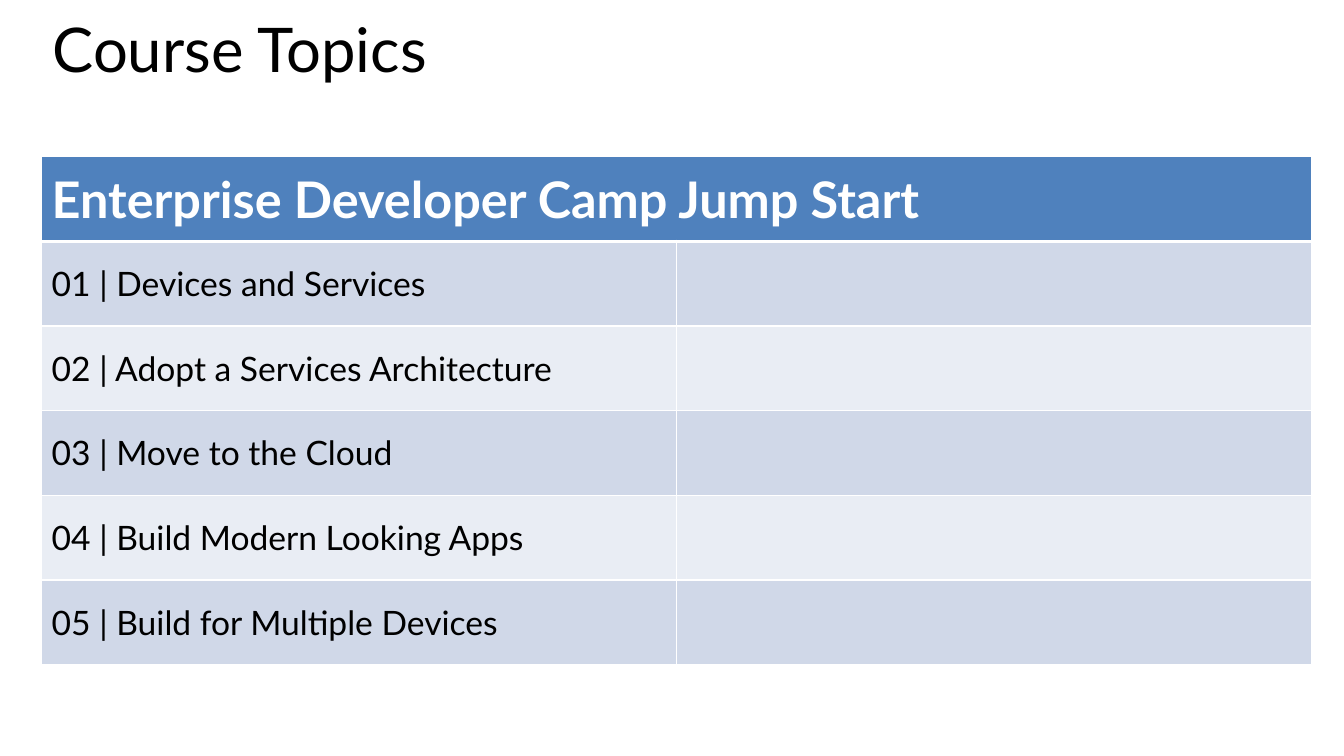
from dataclasses import dataclass

from lxml import etree
from pptx import Presentation
from pptx.dml.color import RGBColor
from pptx.enum.text import MSO_ANCHOR, MSO_AUTO_SIZE, PP_ALIGN
from pptx.oxml.ns import qn
from pptx.util import Cm, Pt

TOP, MIDDLE = MSO_ANCHOR.TOP, MSO_ANCHOR.MIDDLE
LEFT = PP_ALIGN.LEFT
NO_FIT = MSO_AUTO_SIZE.NONE

HEAD = "Enterprise Developer Camp Jump Start"
TOPICS = [
    "Devices and Services",
    "Adopt a Services Architecture",
    "Move to the Cloud",
    "Build Modern Looking Apps",
    "Build for Multiple Devices",
]


@dataclass
class Theme:
    font: str = "Lato"
    black: str = "000000"
    white: str = "FFFFFF"
    blue: str = "4F81BD"
    bands: tuple = ("D0D8E8", "E9EDF4")
    title: int = 44
    head: int = 36
    body: int = 24
    thin: int = 1
    thick: int = 3


def write(frame, text, font, size, color, bold=False, space=1.0):
    """Put one formatted paragraph into a text frame."""
    frame.text = text
    par = frame.paragraphs[0]
    par.alignment = LEFT
    par.line_spacing = space
    face = par.runs[0].font
    face.name, face.size, face.bold = font, Pt(size), bold
    face.color.rgb = RGBColor.from_string(color)


class Page:
    def __init__(self, deck, theme):
        self.theme = theme
        self.slide = deck.slides.add_slide(deck.slide_layouts[5])

    def title(self, text, left, top, width, height):
        shape = self.slide.shapes.title
        shape.left, shape.top = Cm(left), Cm(top)
        shape.width, shape.height = Cm(width), Cm(height)
        frame = shape.text_frame
        frame.word_wrap = True
        frame.auto_size = NO_FIT
        frame.vertical_anchor = TOP
        look = self.theme
        write(frame, text, look.font, look.title, look.black, space=0.8)

    def edges(self, cell, base):
        """Draw white borders; base is the width of the bottom one."""
        props = cell._tc.get_or_add_tcPr()
        thin = self.theme.thin
        sides = {"lnL": thin, "lnR": thin, "lnT": thin, "lnB": base}
        for spot, (side, width) in enumerate(sides.items()):
            line = etree.Element(qn(f"a:{side}"), w=str(Pt(width)))
            fill = etree.SubElement(line, qn("a:solidFill"))
            etree.SubElement(fill, qn("a:srgbClr"), val=self.theme.white)
            props.insert(spot, line)

    def cell(self, cell, fill, base):
        cell.fill.solid()
        cell.fill.fore_color.rgb = RGBColor.from_string(fill)
        cell.vertical_anchor = MIDDLE
        self.edges(cell, base)

    def table(self, head, topics, left, top, width, height):
        look = self.theme
        count = len(topics) + 1
        grid = self.slide.shapes.add_table(
            count, 2, Cm(left), Cm(top), Cm(width), Cm(height)).table

        # Fills and borders
        for row in range(count):
            fill = look.bands[(row - 1) % 2] if row else look.blue
            base = look.thin if row else look.thick
            for col in range(2):
                self.cell(grid.cell(row, col), fill, base)

        # Heading across both columns
        first = grid.cell(0, 0)
        first.merge(grid.cell(0, 1))
        write(first.text_frame, head, look.font, look.head, look.white, bold=True)

        # Numbered topics
        for row, topic in enumerate(topics, 1):
            write(grid.cell(row, 0).text_frame, f"{row:02} | {topic}",
                  look.font, look.body, look.black)


def main():
    deck = Presentation()
    deck.slide_width, deck.slide_height = Cm(33.87), Cm(19.05)
    page = Page(deck, Theme())
    page.title("Course Topics", 1.07, 0.5, 32, 2.95)
    page.table(HEAD, TOPICS, 1.05, 3.95, 32, 12.8)
    deck.save("out.pptx")


if __name__ == "__main__":
    main()
